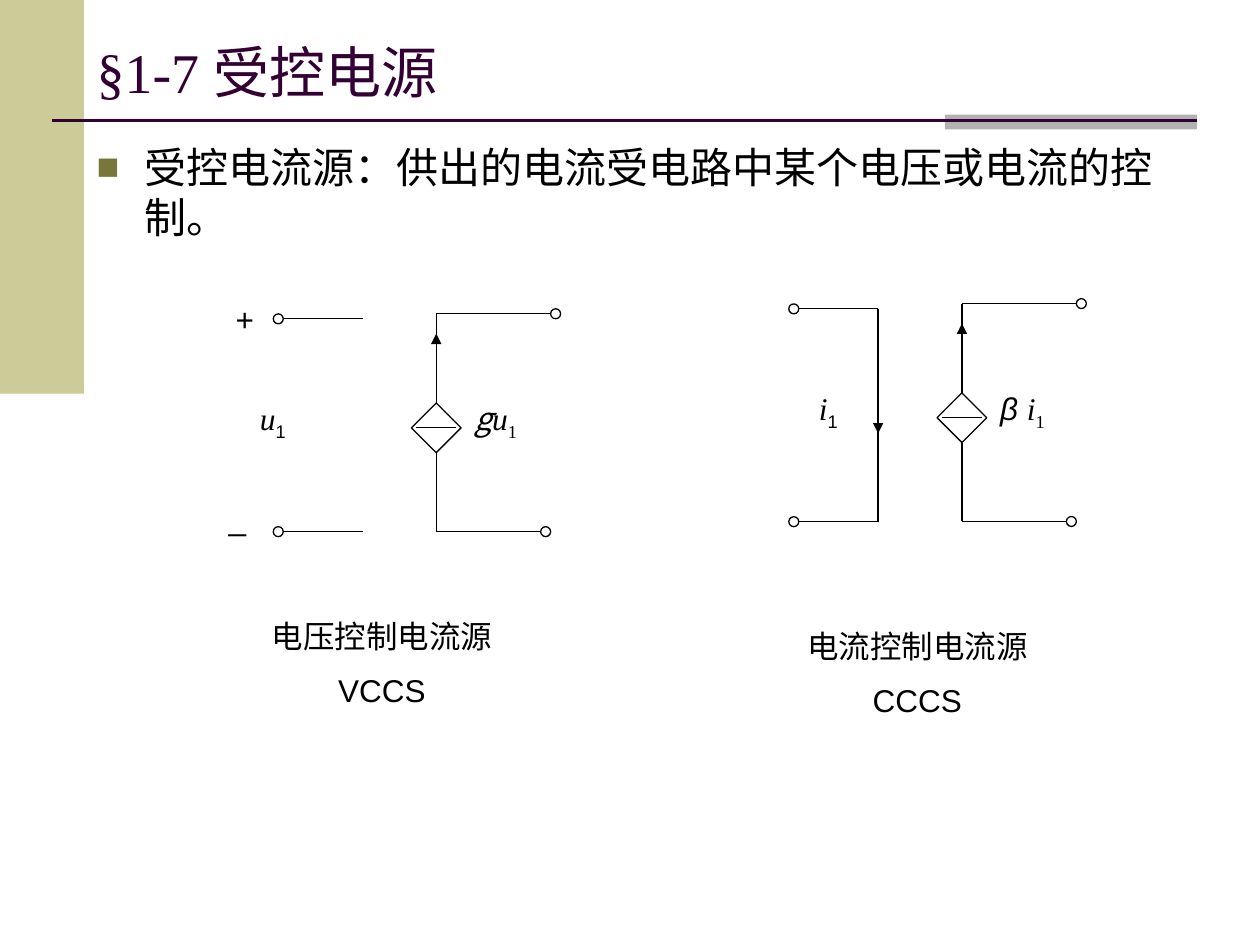
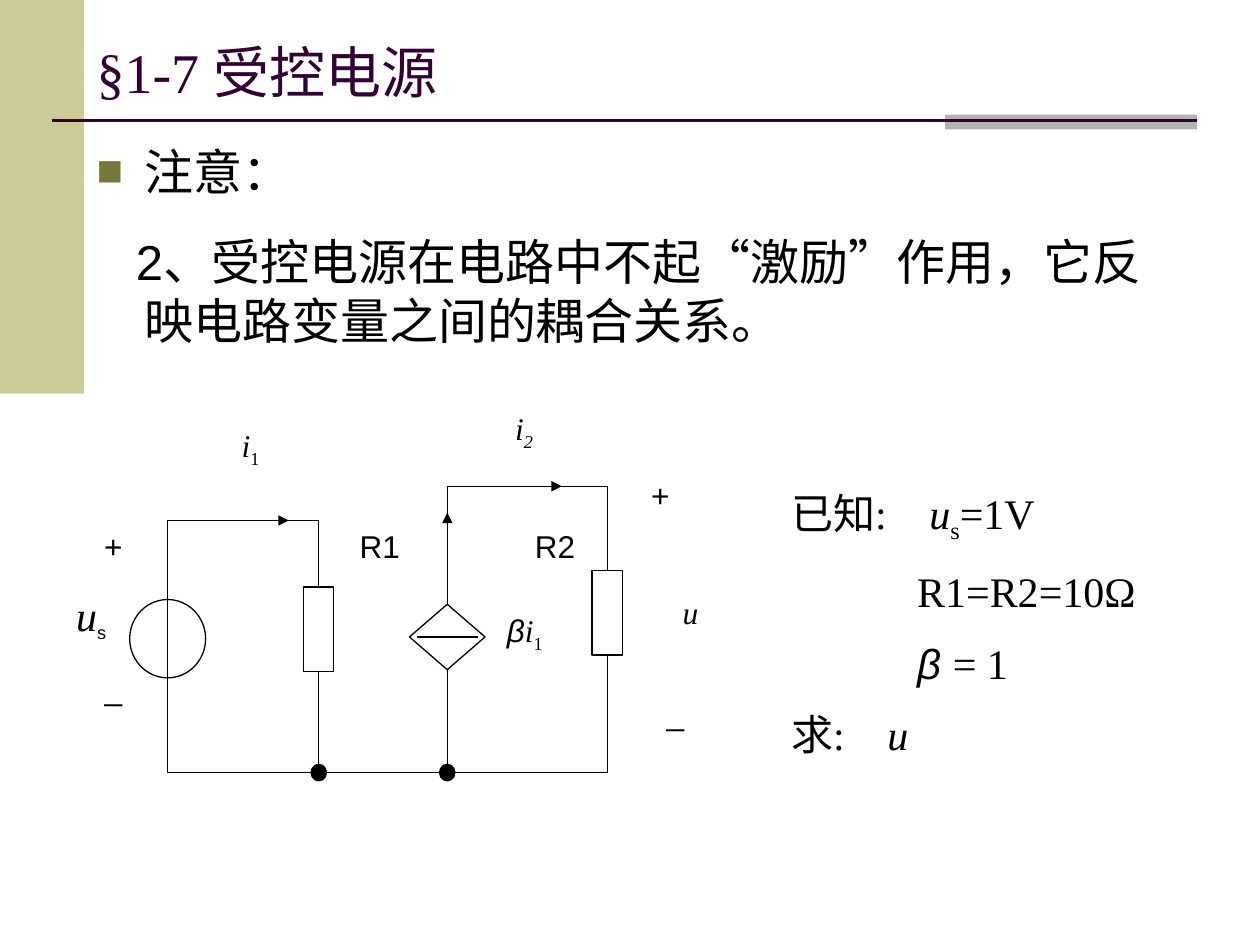
from lxml.etree import SubElement
from pptx import Presentation
from pptx.dml.color import RGBColor
from pptx.enum.shapes import MSO_CONNECTOR as CONN, MSO_SHAPE as SHAPE
from pptx.enum.text import MSO_ANCHOR as ANCHOR, MSO_AUTO_SIZE as AUTO, PP_ALIGN as ALIGN
from pptx.oxml.ns import qn
from pptx.util import Pt

COLORS = {
    "text": "000000",
    "title": "330033",
    "band": "CCCC99",
    "tab": "B2B2B2",
    "bullet": "77773B",
}
ARIAL = {"name": "Arial"}
TIMES = {"name": "Times New Roman"}
CJK_VAR = {"name": "Noto Sans CJK SC", "italic": True}
VAR = {**TIMES, "italic": True}
GREEK = {**ARIAL, "italic": True}
SUB = {**TIMES, "sub": True}
SUB_ARIAL = {**ARIAL, "sub": True}
TITLE = "§1-7 受控电源"
TERMINAL = 5.7


class Deck:
    def __init__(self):
        self.prs = Presentation()
        self.prs.slide_width, self.prs.slide_height = Pt(720), Pt(540)
        self.slide = None

    def color(self, name):
        return RGBColor.from_string(COLORS[name])

    def new_slide(self, title):
        self.slide = self.prs.slides.add_slide(self.prs.slide_layouts[1])
        self.shape(SHAPE.RECTANGLE, 0, 0, 48, 225, "band", None)
        self.shape(SHAPE.RECTANGLE, 540, 65.5, 144, 8.5, "tab", None)
        self.line(30, 69, 684, 69, color="title", width=1.5)
        tf = self.frame(self.slide.shapes.title, 48, 21.5, 636, 38)
        tf.vertical_anchor = ANCHOR.MIDDLE
        tf.paragraphs[0].alignment = ALIGN.LEFT
        self.run(tf.paragraphs[0], title, TIMES, 32, "title")

    def frame(self, sp, x, y, w, h):
        sp.left, sp.top, sp.width, sp.height = Pt(x), Pt(y), Pt(w), Pt(h)
        tf = sp.text_frame
        tf.word_wrap, tf.auto_size = True, AUTO.NONE
        return tf

    def run(self, p, text, style, size, color="text"):
        r = p.add_run()
        r.text = text
        fmt = {"size": Pt(size), "italic": False, **style}
        if fmt.pop("sub", False):
            r._r.get_or_add_rPr().set("baseline", "-25000")
        for key, value in fmt.items():
            if key == "size" and not hasattr(value, "pt"):
                value = Pt(value)
            setattr(r.font, key, value)
        r.font.color.rgb = self.color(color)

    def paragraph(self, tf, index, before):
        p = tf.add_paragraph() if index else tf.paragraphs[0]
        p.space_before = Pt(before if index else 0)
        return p

    def indent(self, p, left, first=0):
        pPr = p._p.get_or_add_pPr()
        pPr.set("marL", str(Pt(left)))
        pPr.set("indent", str(Pt(first)))
        return pPr

    def body(self, size, bullet, *others):
        tf = self.frame(self.slide.placeholders[1], 48, 77, 636, 425.5)
        for i, text in enumerate([bullet, *others]):
            p = self.paragraph(tf, i, 18)
            pPr = self.indent(p, 27.4, -5 if i else -27.4)
            if i:
                SubElement(pPr, qn("a:buNone"))
            else:
                clr = SubElement(pPr, qn("a:buClr"))
                SubElement(clr, qn("a:srgbClr"), val=COLORS["bullet"])
                SubElement(pPr, qn("a:buSzPct"), val="90000")
                SubElement(pPr, qn("a:buChar"), char="■")
            self.run(p, text, ARIAL, size)

    def text(self, x, y, w, h, *paragraphs, size=18, align=ALIGN.CENTER):
        tf = self.frame(self.slide.shapes.add_textbox(0, 0, 0, 0), x, y, w, h)
        for i, runs in enumerate(paragraphs):
            p = self.paragraph(tf, i, size / 2)
            p.alignment = align
            for text, style in runs:
                self.run(p, text, style, size)
        return tf

    def shape(self, kind, x, y, w, h, fill=None, line="text"):
        sp = self.slide.shapes.add_shape(kind, Pt(x), Pt(y), Pt(w), Pt(h))
        sp.shadow.inherit = False
        if fill:
            sp.fill.solid()
            sp.fill.fore_color.rgb = self.color(fill)
        else:
            sp.fill.background()
        if line:
            sp.line.color.rgb = self.color(line)
            sp.line.width = Pt(0.75)
        else:
            sp.line.fill.background()
        return sp

    def centered(self, kind, cx, cy, w, h, fill=None):
        return self.shape(kind, cx - w / 2, cy - h / 2, w, h, fill)

    def line(self, x1, y1, x2, y2, arrow=False, color="text", width=0.75):
        cn = self.slide.shapes.add_connector(CONN.STRAIGHT, Pt(x1), Pt(y1), Pt(x2), Pt(y2))
        cn.line.color.rgb = self.color(color)
        cn.line.width = Pt(width)
        if arrow:
            SubElement(cn.line._get_or_add_ln(), qn("a:tailEnd"), type="triangle")
        SubElement(cn._element.spPr, qn("a:effectLst"))
        return cn

    def leads(self, sp, cx, cy, top, bottom):
        for site, end in ((0, top), (2, bottom)):
            self.line(cx, cy, cx, end).begin_connect(sp, site)

    def resistor(self, cx, cy, top, bottom):
        sp = self.centered(SHAPE.RECTANGLE, cx, cy, 17.3, 48.2)
        self.leads(sp, cx, cy, top, bottom)

    def current_source(self, cx, cy, w, h, top, bottom, tail, head):
        sp = self.centered(SHAPE.DIAMOND, cx, cy, w, h)
        self.leads(sp, cx, cy, top, bottom)
        self.line(cx - 0.4 * w, cy, cx + 0.4 * w, cy)
        self.line(cx, tail, cx, head, arrow=True)

    def terminal(self, cx, cy):
        self.centered(SHAPE.OVAL, cx, cy, TERMINAL, TERMINAL)

    def input_port(self, x, y):
        for wire_y in (y, y + 121.6):
            self.terminal(x, wire_y)
            self.line(x + TERMINAL / 2, wire_y, x + 48.2, wire_y)

    def output_port(self, cx, cy):
        top, bottom = cy - 65.2, cy + 59.3
        self.current_source(cx, cy, 28.4, 28.4, top, bottom, cy - 25.8, cy - 53.8)
        for wire_y, length in ((top, 68.2), (bottom, 62.5)):
            self.line(cx, wire_y, cx + length - TERMINAL / 2, wire_y)
            self.terminal(cx + length, wire_y)


def controlled_current_sources(deck):
    deck.new_slide(TITLE)
    deck.body(24, "受控电流源：供出的电流受电路中某个电压或电流的控制。")

    deck.input_port(159, 182.2)
    deck.output_port(249.3, 244.5)
    deck.text(127.5, 167.8, 22.3, 28.8, [("+", ARIAL)])
    deck.text(121.7, 281.5, 28, 28.8, [("_", ARIAL)])
    deck.text(127.5, 224.6, 56.9, 28.8, [("u", VAR), ("1", SUB_ARIAL)])
    deck.text(252, 224.6, 62.6, 28.8, [("g", CJK_VAR), ("u", VAR), ("1", SUB)])

    deck.input_port(453.6, 176.5)
    deck.line(501.8, 176.5, 501.8, 298.1)
    deck.line(501.8, 196.6, 501.8, 247.7, arrow=True)
    deck.output_port(549.7, 238.7)
    deck.text(456.5, 218.9, 33.8, 28.8, [("i", VAR), ("1", SUB_ARIAL)])
    deck.text(553, 218.9, 62.6, 28.8, [("β ", GREEK), ("i", VAR), ("1", SUB)])

    for x, y, name, short in ((121.7, 349.2, "电压控制电流源", "VCCS"),
                              (427.7, 355, "电流控制电流源", "CCCS")):
        deck.text(x, y, 193, 61.2, [(name, ARIAL)], [(short, ARIAL)])


def coupling_example(deck):
    deck.new_slide(TITLE)
    deck.body(28, "注意：", "2、受控电源在电路中不起“激励”作用，它反映电路变量之间的耦合关系。")

    tf = deck.text(445, 275, 254.9, 167,
                   [("已知:\t", TIMES), ("u", VAR), ("s", SUB), ("=1V", TIMES)],
                   [("R1=R2=10Ω", TIMES)],
                   [("β ", GREEK), ("= 1", TIMES)],
                   [("求:\t", TIMES), ("u", VAR)],
                   size=24, align=ALIGN.LEFT)
    known, resistances, gain, wanted = tf.paragraphs
    for p in (resistances, gain):
        deck.indent(p, 72)
    for p, stop in ((known, 79), (wanted, 55)):
        tabs = SubElement(p._p.get_or_add_pPr(), qn("a:tabLst"))
        SubElement(tabs, qn("a:tab"), pos=str(Pt(stop)), algn="l")

    source_x, r1_x, beta_x, r2_x = 95.8, 182.2, 255.6, 347
    left_top, right_top, bottom = 297.4, 277.9, 441.5
    deck.centered(SHAPE.OVAL, source_x, 365, 43.4, 44.8)
    deck.line(source_x, left_top, source_x, bottom)
    deck.line(source_x, left_top, r1_x, left_top)
    deck.line(source_x, left_top, 165, left_top, arrow=True)
    deck.resistor(r1_x, 359.6, left_top, bottom)
    deck.current_source(beta_x, 364, 43.2, 37.4, right_top, bottom, 330.5, 293)
    deck.line(beta_x, right_top, r2_x, right_top)
    deck.line(277.9, right_top, 321.1, right_top, arrow=True)
    deck.resistor(r2_x, 350.3, right_top, bottom)
    deck.line(source_x, bottom, r2_x, bottom)
    for x in (r1_x, beta_x):
        deck.centered(SHAPE.OVAL, x, bottom, 8.8, 9.4, "text")

    labels = [
        (43.2, 297.4, 43.2, [("+", ARIAL)]),
        (43.2, 378.7, 43.2, [("_", ARIAL)]),
        (8.6, 333.4, 87.1, [("u", {**VAR, "size": 24}), ("s", SUB_ARIAL)]),
        (113, 239.8, 60.5, [("i", VAR), ("1", SUB)]),
        (269.3, 230.4, 60.5, [("i", VAR), ("2", {**VAR, "sub": True})]),
        (252, 345.6, 95.8, [("β", GREEK), ("i", VAR), ("1", SUB)]),
        (182.2, 297.4, 69.8, [("R1", ARIAL)]),
        (277.9, 297.4, 78.5, [("R2", ARIAL)]),
        (355.7, 268.6, 43.2, [("+", ARIAL)]),
        (364.3, 393.1, 43.2, [("_", ARIAL)]),
        (373, 335.5, 43.2, [("u", VAR)]),
    ]
    for x, y, w, runs in labels:
        deck.text(x, y, w, 49, runs)


def main():
    deck = Deck()
    controlled_current_sources(deck)
    coupling_example(deck)
    deck.prs.save("out.pptx")


if __name__ == "__main__":
    main()
